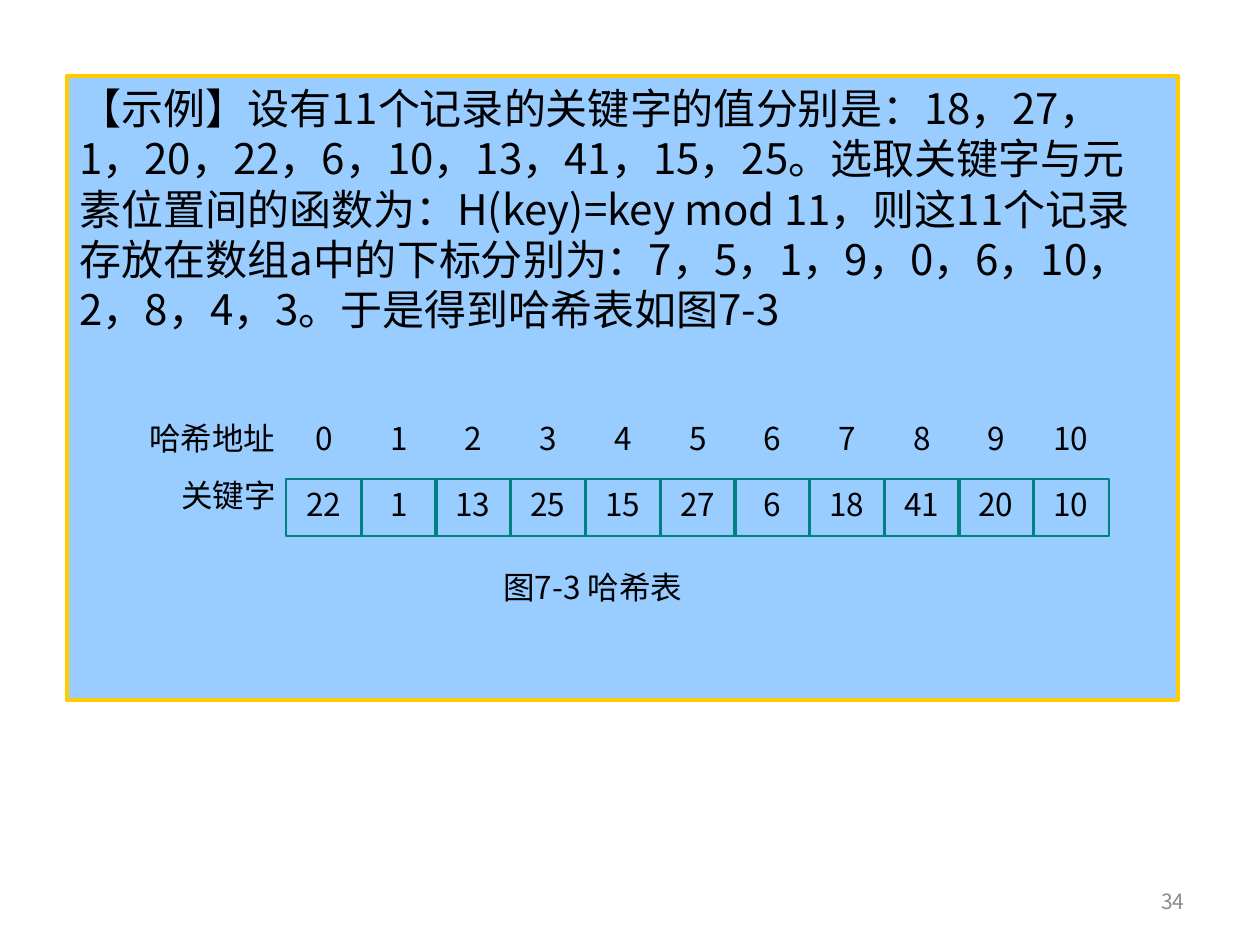
"""Build a slide that shows a hash table of eleven keys."""
from lxml import etree
from pptx import Presentation, util as u
from pptx.dml.color import RGBColor
from pptx.enum import shapes, text
from pptx.oxml.ns import qn

SCALE = 914400 / 126
FONT = "Noto Sans CJK JP"
BLACK = RGBColor(0x00, 0x00, 0x00)
GRAY = RGBColor(0x8C, 0x8C, 0x8C)
BLUE = RGBColor(0x99, 0xCC, 0xFF)
GOLD = RGBColor(0xFF, 0xCC, 0x00)
TEAL = RGBColor(0x00, 0x80, 0x80)
ALIGN = text.PP_ALIGN

EXAMPLE = (
    "【示例】设有11个记录的关键字的值分别是：18，27，1，20，22，6，10，13，41，15，25。"
    "选取关键字与元素位置间的函数为：H(key)=key mod 11，"
    "则这11个记录存放在数组a中的下标分别为：7，5，1，9，0，6，10，2，8，4，3。"
    "于是得到哈希表如图7-3"
)
KEYS = [22, 1, 13, 25, 15, 27, 6, 18, 41, 20, 10]
TABLE_LEFT, COLUMN_STEP = 286, 74.7
ADDRESS_TOP, KEY_TOP = 413, 479
CELL_WIDTH, CELL_HEIGHT = 76, 57


def px(*lengths):
    return [u.Emu(round(length * SCALE)) for length in lengths]


def write(shape, words, size, align, color=BLACK, anchor=text.MSO_ANCHOR.TOP):
    frame = shape.text_frame
    frame.word_wrap = True
    frame.vertical_anchor = anchor
    paragraph = frame.paragraphs[0]
    paragraph.text = words
    paragraph.alignment = align
    font = paragraph.font
    font.size = u.Pt(size)
    font.name = FONT
    font.color.rgb = color
    properties = paragraph._p.pPr.find(qn("a:defRPr"))
    etree.SubElement(properties, qn("a:ea"), typeface=FONT)
    return paragraph


def add_label(slide, box, words, align, size=18, **style):
    write(slide.shapes.add_textbox(*px(*box)), words, size, align, **style)


def add_box(slide, box, line_color, line_width, fill=None):
    shape = slide.shapes.add_shape(shapes.MSO_SHAPE.RECTANGLE, *px(*box))
    shape.shadow.inherit = False
    if fill is None:
        shape.fill.background()
    else:
        shape.fill.solid()
        shape.fill.fore_color.rgb = fill
    shape.line.color.rgb = line_color
    shape.line.width = u.Pt(line_width)
    return shape


def add_example(slide):
    panel = add_box(slide, (67, 76, 1111, 624), GOLD, 2.5, BLUE)
    paragraph = write(panel, EXAMPLE, 24, ALIGN.LEFT)
    paragraph.line_spacing = u.Pt(28.8)


def add_hash_table(slide):
    add_label(slide, (137, 413, 155, 69), "哈希地址", ALIGN.JUSTIFY)
    add_label(slide, (169, 470, 140, 69), "关键字", ALIGN.JUSTIFY)
    for address, key in enumerate(KEYS):
        left = round(TABLE_LEFT + address * COLUMN_STEP)
        add_label(slide, (left, ADDRESS_TOP, CELL_WIDTH, CELL_HEIGHT),
                  str(address), ALIGN.CENTER)
        cell = add_box(slide, (left, KEY_TOP, CELL_WIDTH, CELL_HEIGHT), TEAL, 1.5)
        write(cell, str(key), 18, ALIGN.CENTER)
    add_label(slide, (491, 562, 281, 69), "图7-3 哈希表", ALIGN.JUSTIFY)


def main():
    presentation = Presentation()
    presentation.slide_width, presentation.slide_height = px(1260, 945)
    slide = presentation.slides.add_slide(presentation.slide_layouts[6])
    add_example(slide)
    add_hash_table(slide)
    add_label(slide, (903, 876, 294, 50), "34", ALIGN.RIGHT, size=12,
              color=GRAY, anchor=text.MSO_ANCHOR.MIDDLE)
    presentation.save("out.pptx")


if __name__ == "__main__":
    main()
